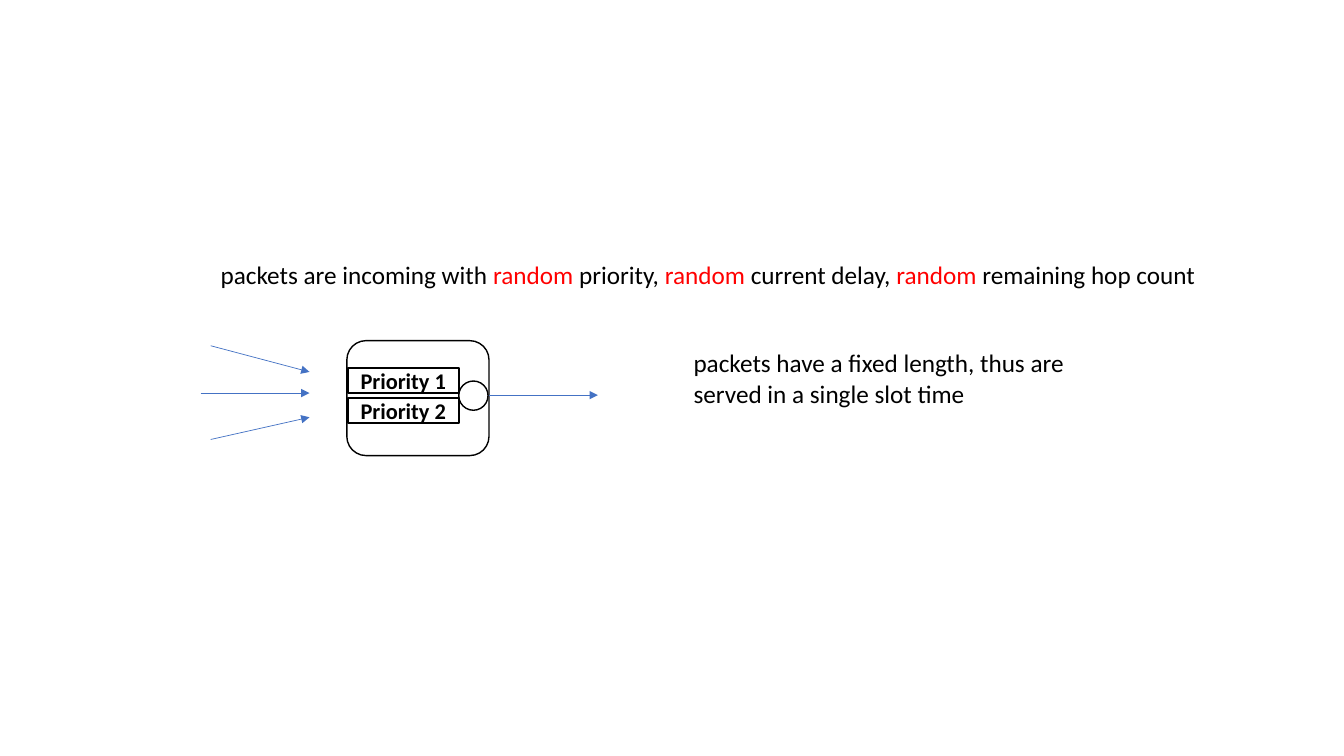
import pptx
import pptx.util
import pptx.dml.color
import pptx.enum.shapes
import pptx.enum.text
import pptx.oxml.ns
import lxml.etree

Inches = pptx.util.Inches
SHAPES = pptx.enum.shapes.MSO_SHAPE
COLORS = {"black": "000000", "white": "FFFFFF", "red": "FF0000", "arrow": "4472C4"}
FONT = "Calibri"


def color(name):
    return pptx.dml.color.RGBColor.from_string(COLORS[name])


def format_run(run, size, color_name="black", bold=False):
    run.font.name = FONT
    run.font.size = pptx.util.Pt(size)
    run.font.bold = bold
    run.font.color.rgb = color(color_name)


def add_outline(slide, kind, left, top, width, height, line_width=1, fill=None):
    shape = slide.shapes.add_shape(
        kind, Inches(left), Inches(top), Inches(width), Inches(height))
    shape.shadow.inherit = False
    if fill:
        shape.fill.solid()
        shape.fill.fore_color.rgb = color(fill)
    else:
        shape.fill.background()
    shape.line.color.rgb = color("black")
    shape.line.width = pptx.util.Pt(line_width)
    return shape


def add_queue(slide, label, top):
    queue = add_outline(slide, SHAPES.RECTANGLE, 3.45, top, 1.1, 0.25, 1.5, "white")
    text_frame = queue.text_frame
    text_frame.text = label
    text_frame.vertical_anchor = pptx.enum.text.MSO_ANCHOR.MIDDLE
    paragraph = text_frame.paragraphs[0]
    paragraph.alignment = pptx.enum.text.PP_ALIGN.CENTER
    format_run(paragraph.runs[0], 16, bold=True)


def add_arrow(slide, start, end):
    arrow = slide.shapes.add_connector(
        pptx.enum.shapes.MSO_CONNECTOR.STRAIGHT,
        *(Inches(value) for value in start + end))
    arrow.line.color.rgb = color("arrow")
    arrow.line.width = pptx.util.Pt(0.5)
    qualified_name = pptx.oxml.ns.qn
    lxml.etree.SubElement(
        arrow.line._get_or_add_ln(), qualified_name("a:tailEnd"), type="triangle")
    lxml.etree.SubElement(arrow._element.spPr, qualified_name("a:effectLst"))


def add_note(slide, left, top, width, height, parts, wrap=True):
    box = slide.shapes.add_textbox(
        Inches(left), Inches(top), Inches(width), Inches(height))
    box.text_frame.word_wrap = wrap
    box.text_frame.auto_size = pptx.enum.text.MSO_AUTO_SIZE.SHAPE_TO_FIT_TEXT
    for text, color_name in parts:
        run = box.text_frame.paragraphs[0].add_run()
        run.text = text
        format_run(run, 18, color_name)


def main():
    presentation = pptx.Presentation()
    presentation.slide_width = Inches(13.33)
    presentation.slide_height = Inches(7.5)
    slide = presentation.slides.add_slide(presentation.slide_layouts[6])

    # Node with two priority queues and a server
    add_outline(slide, SHAPES.ROUNDED_RECTANGLE, 3.44, 3.38, 1.41, 1.14)
    for index in range(2):
        add_queue(slide, f"Priority {index + 1}", 3.65 + 0.3 * index)
    add_outline(slide, SHAPES.OVAL, 4.55, 3.78, 0.29, 0.29)

    # Incoming and outgoing packets
    for start, end in (
        ((2.09, 3.43), (3.07, 3.69)),
        ((1.99, 3.9), (3.07, 3.9)),
        ((2.09, 4.36), (3.07, 4.14)),
        ((4.85, 3.92), (5.93, 3.92)),
    ):
        add_arrow(slide, start, end)

    # Explanations
    incoming = [("packets are incoming with ", "black")]
    for attribute in (" priority, ", " current delay, ", " remaining hop count"):
        incoming += [("random", "red"), (attribute, "black")]
    add_note(slide, 2.09, 2.52, 9.98, 0.4, incoming, wrap=False)
    service = "packets have a fixed length, thus are served in a single slot time"
    add_note(slide, 6.78, 3.4, 4.39, 0.71, [(service, "black")])

    presentation.save("out.pptx")


main()
